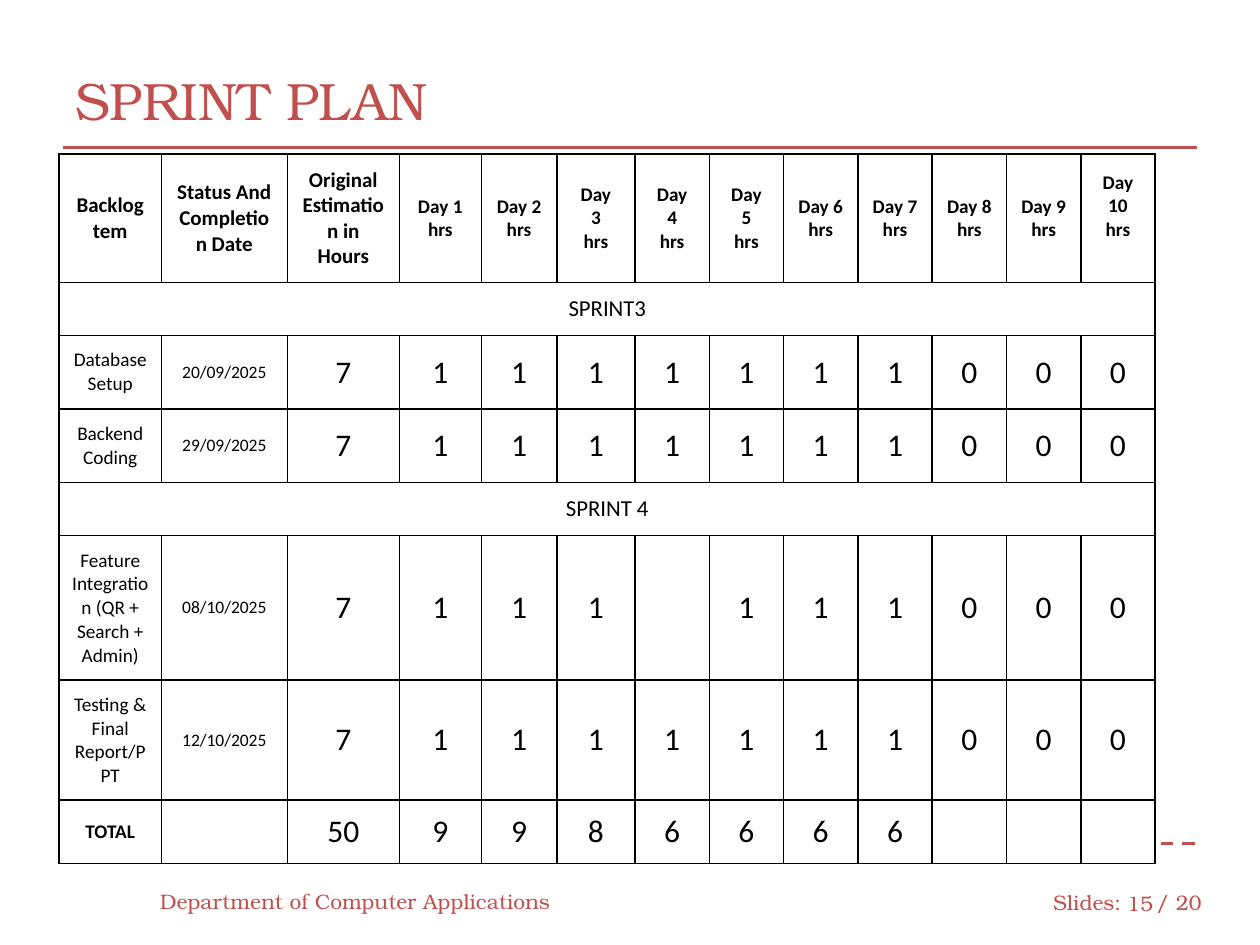
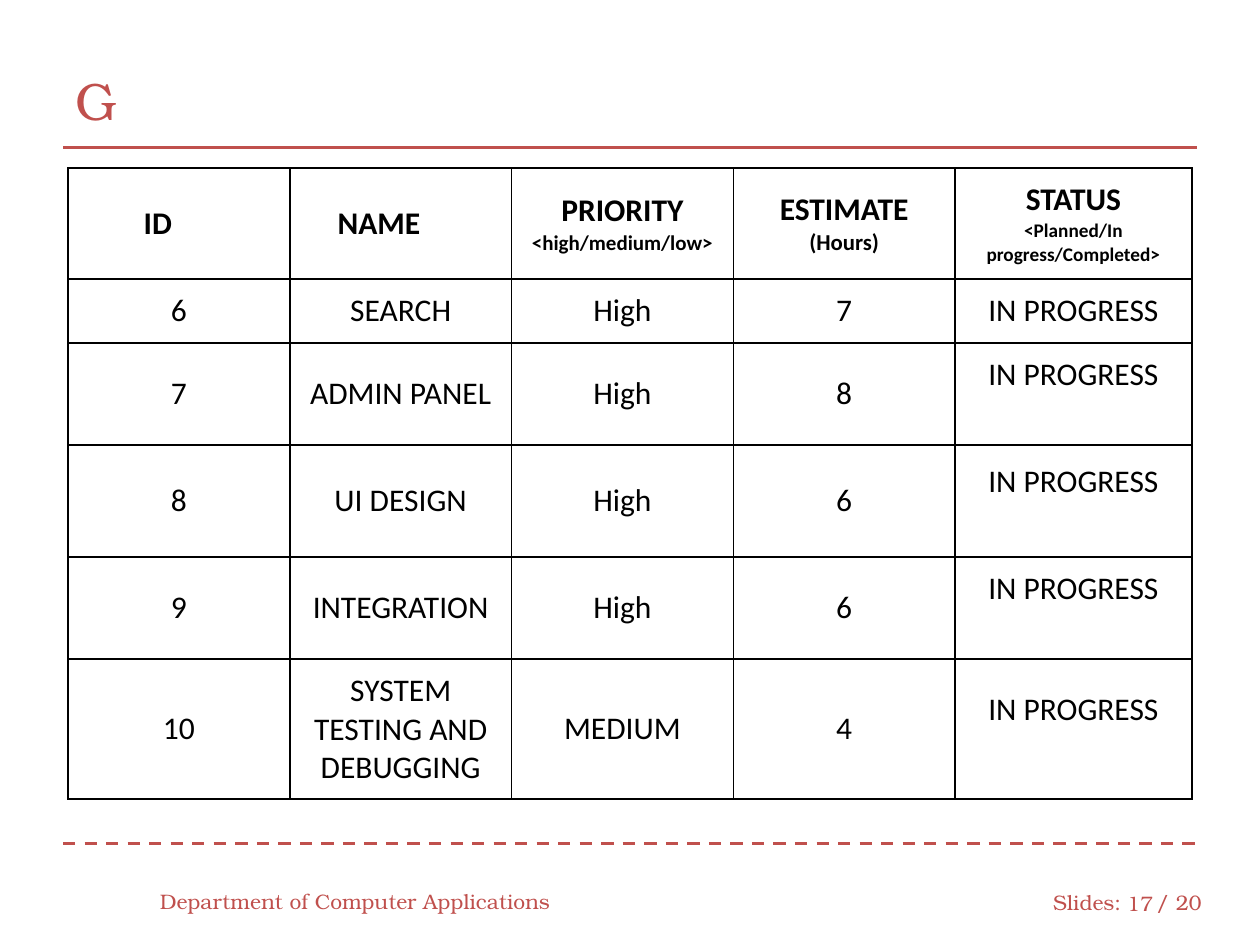
from itertools import cycle
from lxml.etree import SubElement
from pptx import Presentation
from pptx.dml.color import RGBColor
from pptx.enum.dml import MSO_LINE
from pptx.enum.shapes import MSO_CONNECTOR
from pptx.enum.text import MSO_ANCHOR, PP_ALIGN as ALIGN
from pptx.oxml import parse_xml
from pptx.oxml.ns import nsdecls, qn
from pptx.util import Inches, Pt

RED, BLACK, WHITE = "C0504D", "000000", "FFFFFF"
SERIF, SANS = "TeX Gyre Bonum", "Calibri"
hex_colour = RGBColor.from_string

deck = Presentation()
deck.slide_width, deck.slide_height = Inches(10), Inches(7.5)
column, row = deck.slide_width / 100, deck.slide_height / 100


def place(left, top, width, height):
    return [int(left * column), int(top * row), int(width * column), int(height * row)]


def write(frame, text, sizes=(12,), font=SERIF, colour=RED, bold=False, align=ALIGN.LEFT):
    frame.word_wrap = True
    for number, (line, size) in enumerate(zip(text.split("\n"), cycle(sizes))):
        para = frame.add_paragraph() if number else frame.paragraphs[0]
        para.alignment = align
        span = para.add_run()
        span.text = line
        span.font.size, span.font.name, span.font.bold = Pt(size), font, bold
        span.font.color.rgb = hex_colour(colour)


sprint_header = ["Backlog tem", "Status And Completion Date", "Original Estimation in Hours",
                 "Day 1\nhrs", "Day 2\nhrs", "Day\n3\nhrs", "Day\n4\nhrs", "Day\n5\nhrs",
                 "Day 6\nhrs", "Day 7\nhrs", "Day 8\nhrs", "Day 9\nhrs", "Day 10\nhrs"]
full_week = ["7"] + ["1"] * 7 + ["0"] * 3
sprint_rows = [
    sprint_header,
    ["SPRINT3"],
    ["Database Setup", "20/09/2025"] + full_week,
    ["Backend Coding", "29/09/2025"] + full_week,
    ["SPRINT 4"],
    ["Feature Integration (QR + Search + Admin)", "08/10/2025"]
    + full_week[:4] + [""] + full_week[5:],
    ["Testing & Final Report/PPT", "12/10/2025"] + full_week,
    ["TOTAL", "", "50", "9", "9", "8", "6", "6", "6", "6", "", "", ""],
]
backlog_rows = [
    ["ID", "NAME", "PRIORITY\n<high/medium/low>", "ESTIMATE\n(Hours)",
     "STATUS\n<Planned/In progress/Completed>"],
    ["6", "SEARCH", "High", "7", "IN PROGRESS"],
    ["7", "ADMIN PANEL", "High", "8", "IN PROGRESS"],
    ["8", "UI DESIGN", "High", "6", "IN PROGRESS"],
    ["9", "INTEGRATION", "High", "6", "IN PROGRESS"],
    ["10", "SYSTEM TESTING AND DEBUGGING", "MEDIUM", "4", "IN PROGRESS"],
]

pages = [
    dict(title="SPRINT PLAN", number="15", left=4.7, top=16.3, rows=sprint_rows,
         widths=[8.1, 10, 8.9, 6.5, 6, 6.2] + [5.9] * 7,
         heights=[13.6, 5.6, 7.8, 7.8, 5.6, 15.3, 12.7, 6.7],
         header_sizes=[[12]] * 3 + [[11]] * 10, body_sizes=[11, 10] + [18] * 11,
         indents={}, lifts={(0, 12): 0.29}),
    dict(title="G", number="17", left=5.4, top=17.8, rows=backlog_rows,
         widths=[17.6] * 4 + [18.8],
         heights=[11.75, 6.75, 10.8, 11.85, 10.8, 14.8],
         header_sizes=[[18], [18], [18, 12], [18, 13], [18, 11]], body_sizes=[18] * 5,
         indents={(0, 0): 0.6, (0, 1): 0.38},
         lifts={(line, 4): 0.4 for line in range(2, 6)}),
]

for page in pages:
    slide = deck.slides.add_slide(deck.slide_layouts[6])

    for height, dash in [(89.3, MSO_LINE.DASH), (15.6, MSO_LINE.SOLID)]:
        left, level, right, _ = place(5, height, 95, 0)
        rule = slide.shapes.add_connector(MSO_CONNECTOR.STRAIGHT, left, level, left + place(0, 0, 90, 0)[2], level)
        rule.line.color.rgb = hex_colour(RED)
        rule.line.width, rule.line.dash_style = Pt(1.75), dash
        SubElement(rule._element.spPr, qn("a:effectLst"))

    for text, area, size, align in [
        ("Slides:", (82.6, 92.8, 7.6, 5.3), 12, ALIGN.LEFT),
        ("/ 20", (90.8, 92.8, 5.9, 5.3), 12, ALIGN.LEFT),
        (page["title"], (5, 4.4, 90, 12.3), 30, ALIGN.LEFT),
        ("Department of Computer Applications", (11.7, 92.7, 33.5, 5.3), 12, ALIGN.LEFT),
        (page["number"], (88.3, 92.9, 4.2, 5.3), 12, ALIGN.RIGHT),
    ]:
        box = slide.shapes.add_textbox(*place(*area))
        box.text_frame.vertical_anchor = MSO_ANCHOR.MIDDLE
        write(box.text_frame, text, sizes=[size], align=align)

    widths, heights = page["widths"], page["heights"]
    table = slide.shapes.add_table(
        len(heights), len(widths),
        *place(page["left"], page["top"], sum(widths), sum(heights))).table
    table.first_row = table.horz_banding = False
    for table_column, width in zip(table.columns, widths):
        table_column.width = int(width * column)
    for table_row, height in zip(table.rows, heights):
        table_row.height = int(height * row)

    for line, texts in enumerate(page["rows"]):
        banner = len(texts) == 1
        if banner:
            table.cell(line, 0).merge(table.cell(line, len(widths) - 1))
        for position in range(len(widths)):
            cell = table.cell(line, position)
            cell.fill.solid()
            cell.fill.fore_color.rgb = hex_colour(WHITE)
            cell.vertical_anchor = MSO_ANCHOR.MIDDLE
            indent = page["indents"].get((line, position))
            cell.margin_left = Inches(indent or 0.1)
            cell.margin_right = cell.margin_top = Inches(0.1)
            cell.margin_bottom = Inches(page["lifts"].get((line, position), 0.1))
            for order, side in enumerate(["lnL", "lnR", "lnT", "lnB"]):
                cell._tc.get_or_add_tcPr().insert(order, parse_xml(
                    f'<a:{side} {nsdecls("a")} w="12700"><a:solidFill>'
                    f'<a:srgbClr val="{BLACK}"/></a:solidFill></a:{side}>'))
            if position < len(texts) and texts[position]:
                sizes = page["header_sizes"][position] if line == 0 else [page["body_sizes"][position]]
                write(cell.text_frame, texts[position], sizes=[13] if banner else sizes,
                      font=SANS, colour=BLACK, bold=line == 0 or texts[position] == "TOTAL",
                      align=ALIGN.LEFT if indent else ALIGN.CENTER)

deck.save("out.pptx")
